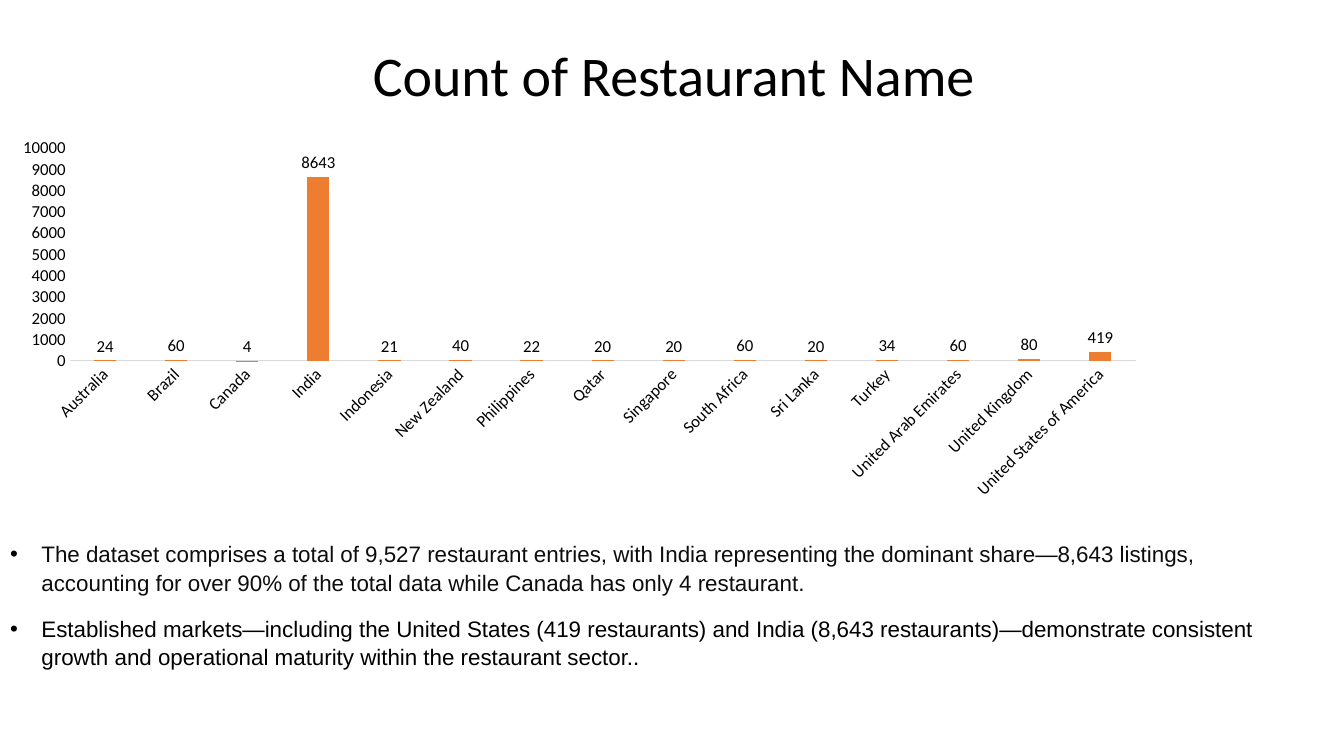
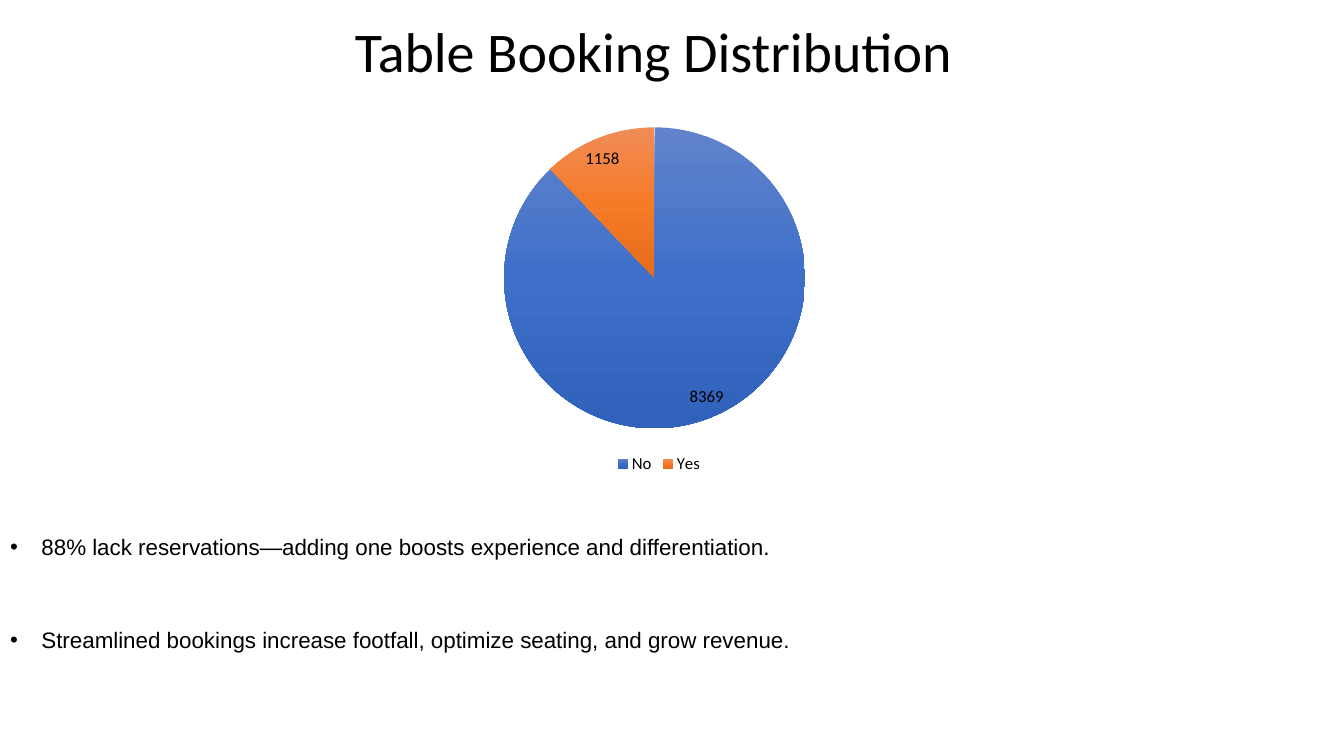
import copy

import pptx
import pptx.chart.data
import pptx.dml.color
import pptx.enum.chart
import pptx.enum.text
import pptx.oxml
import pptx.oxml.ns
import pptx.util
from pptx.util import Cm, Pt

# Content
RESTAURANTS = [
    ("Australia", 24), ("Brazil", 60), ("Canada", 4), ("India", 8643),
    ("Indonesia", 21), ("New Zealand", 40), ("Philippines", 22),
    ("Qatar", 20), ("Singapore", 20), ("South Africa", 60),
    ("Sri Lanka", 20), ("Turkey", 34), ("United Arab Emirates", 60),
    ("United Kingdom", 80), ("United States of America", 419),
]
BOOKINGS = [("No", 8369), ("Yes", 1158)]
COUNT_POINTS = [
    "The dataset comprises a total of 9,527 restaurant entries, with India "
    "representing the dominant share—8,643 listings, accounting for over 90% "
    "of the total data while Canada has only 4 restaurant.",
    "Established markets—including the United States (419 restaurants) and "
    "India (8,643 restaurants)—demonstrate consistent growth and operational "
    "maturity within the restaurant sector..",
]
BOOKING_POINTS = [
    "88% lack reservations—adding one boosts experience and differentiation.",
    "Streamlined bookings increase footfall, optimize seating, and grow revenue.",
]

# Shared style
COLORS = {"text": "000000", "soft": "0D0D0D", "axis": "D9D9D9", "bar": "ED7D31"}
SLICES = [("6183CB", "3E70CA", "3062BB"), ("F18C57", "F67B28", "E56C19")]
HEAD_FONT, BODY_FONT = "Calibri", "Arial"
XL = pptx.enum.chart


def rgb(value):
    return pptx.dml.color.RGBColor.from_string(value)


def set_font(font, size, name=HEAD_FONT, color=COLORS["text"]):
    font.size, font.name = Pt(size), name
    font.color.rgb = rgb(color)


def place(sp, left, top, width, height):
    sp.left, sp.top, sp.width, sp.height = Cm(left), Cm(top), Cm(width), Cm(height)


def add_slide(prs, title, left, top):
    s = prs.slides.add_slide(prs.slide_layouts[1])
    sp = s.shapes.title
    place(sp, left, top, 22.5, 1.96)
    tf = sp.text_frame
    tf.text = title
    tf.auto_size = pptx.enum.text.MSO_AUTO_SIZE.NONE
    tf.vertical_anchor = pptx.enum.text.MSO_ANCHOR.MIDDLE
    p = tf.paragraphs[0]
    p.alignment = pptx.enum.text.PP_ALIGN.LEFT
    set_font(p.runs[0].font, 40)
    return s


def add_points(s, points, top, gap, colors):
    sp = s.placeholders[1]
    place(sp, 0, top, 32.89, 4.1)
    tf = sp.text_frame
    tf.auto_size = pptx.enum.text.MSO_AUTO_SIZE.NONE
    tf.vertical_anchor = pptx.enum.text.MSO_ANCHOR.TOP
    for i, (text, color) in enumerate(zip(points, colors)):
        p = tf.add_paragraph() if i else tf.paragraphs[0]
        p.text = text
        pPr = p._p.get_or_add_pPr()
        pPr.set("marL", str(Cm(0.79)))
        pPr.set("indent", str(-Cm(0.79)))
        p.line_spacing = 1.05
        p.space_before = Pt(gap if i else 0)
        p.space_after = Pt(0)
        ns = pptx.oxml.ns.nsdecls("a")
        for xml in (f'<a:buClr {ns}><a:srgbClr val="{COLORS["text"]}"/></a:buClr>',
                    f'<a:buFont {ns} typeface="{BODY_FONT}"/>',
                    f'<a:buChar {ns} char="•"/>'):
            pPr.append(pptx.oxml.parse_xml(xml))
        set_font(p.runs[0].font, 16, BODY_FONT, color)


def add_chart(s, kind, rows, box, layout):
    """Add a one-series chart; layout is the plot's share of the box."""
    data = pptx.chart.data.CategoryChartData()
    data.categories = [name for name, _ in rows]
    data.add_series("Series 1", [value for _, value in rows])
    chart = s.shapes.add_chart(kind, *map(Cm, box), data).chart
    chart.has_title = chart.has_legend = False
    set_font(chart.font, 10)
    plot = chart.plots[0]
    plot.has_data_labels = True
    plot.data_labels.show_value = True
    plot.data_labels.show_percentage = False
    set_font(plot.data_labels.font, 12)

    # Fixed plot area
    area = chart._chartSpace.xpath(".//c:plotArea")[0]
    for old in area.xpath("./c:layout"):
        area.remove(old)
    sizes = "".join(f'<c:{key} val="{v}"/>' for key, v in zip("xywh", layout))
    area.insert(0, pptx.oxml.parse_xml(
        f'<c:layout {pptx.oxml.ns.nsdecls("c")}><c:manualLayout>'
        '<c:layoutTarget val="inner"/><c:xMode val="edge"/><c:yMode val="edge"/>'
        f'{sizes}</c:manualLayout></c:layout>'))
    return chart, plot


def add_count_chart(s):
    chart, plot = add_chart(s, XL.XL_CHART_TYPE.COLUMN_CLUSTERED, RESTAURANTS,
                            (0, 3.05, 29.21, 9.75), (0.06, 0.07, 0.92, 0.55))
    plot.gap_width = 219
    plot.vary_by_categories = False
    plot.data_labels.position = XL.XL_LABEL_POSITION.OUTSIDE_END
    fill = plot.series[0].format.fill
    fill.solid()
    fill.fore_color.rgb = rgb(COLORS["bar"])
    for axis in (chart.category_axis, chart.value_axis):
        axis.has_major_gridlines = False
        axis.major_tick_mark = axis.minor_tick_mark = XL.XL_TICK_MARK.NONE
        set_font(axis.tick_labels.font, 12)
    line = chart.category_axis.format.line
    line.color.rgb, line.width = rgb(COLORS["axis"]), Pt(0.75)
    chart._chartSpace.xpath(".//c:catAx/c:txPr/a:bodyPr")[0].set("rot", "-2700000")
    values = chart.value_axis
    values.format.line.fill.background()
    values.minimum_scale, values.maximum_scale, values.major_unit = 0, 10000, 1000


def add_booking_chart(s):
    chart, plot = add_chart(s, XL.XL_CHART_TYPE.PIE, BOOKINGS,
                            (5.77, 2.26, 21.67, 9.78), (0.32, 0.09, 0.35, 0.79))
    plot.vary_by_categories = True
    plot.data_labels.position = XL.XL_LABEL_POSITION.BEST_FIT
    chart.has_legend = True
    chart.legend.position = XL.XL_LEGEND_POSITION.BOTTOM
    chart.legend.include_in_layout = False
    set_font(chart.legend.font, 12)
    # Three-stop gradient, light at the top
    for i, colors in enumerate(SLICES):
        fill = plot.series[0].points[i].format.fill
        fill.gradient()
        fill.gradient_angle = 270
        stops = chart._chartSpace.xpath(".//c:dPt//a:gsLst")[i]
        stops.insert(1, copy.deepcopy(stops[0]))
        for stop, color, position in zip(fill.gradient_stops, colors, (0, 0.5, 1)):
            stop.color.rgb = rgb(color)
            stop.position = position


def main():
    prs = pptx.Presentation()
    prs.slide_width, prs.slide_height = Cm(33.87), Cm(19.05)

    # Restaurants by country
    s = add_slide(prs, "Count of Restaurant Name", 9.14, 0.89)
    add_count_chart(s)
    add_points(s, COUNT_POINTS, 13.46, 13, (COLORS["soft"], COLORS["text"]))

    # Table booking
    s = add_slide(prs, "Table Booking Distribution", 8.69, 0.28)
    add_booking_chart(s)
    add_points(s, BOOKING_POINTS, 13.28, 46, (COLORS["text"],) * 2)

    prs.save("out.pptx")


if __name__ == "__main__":
    main()
